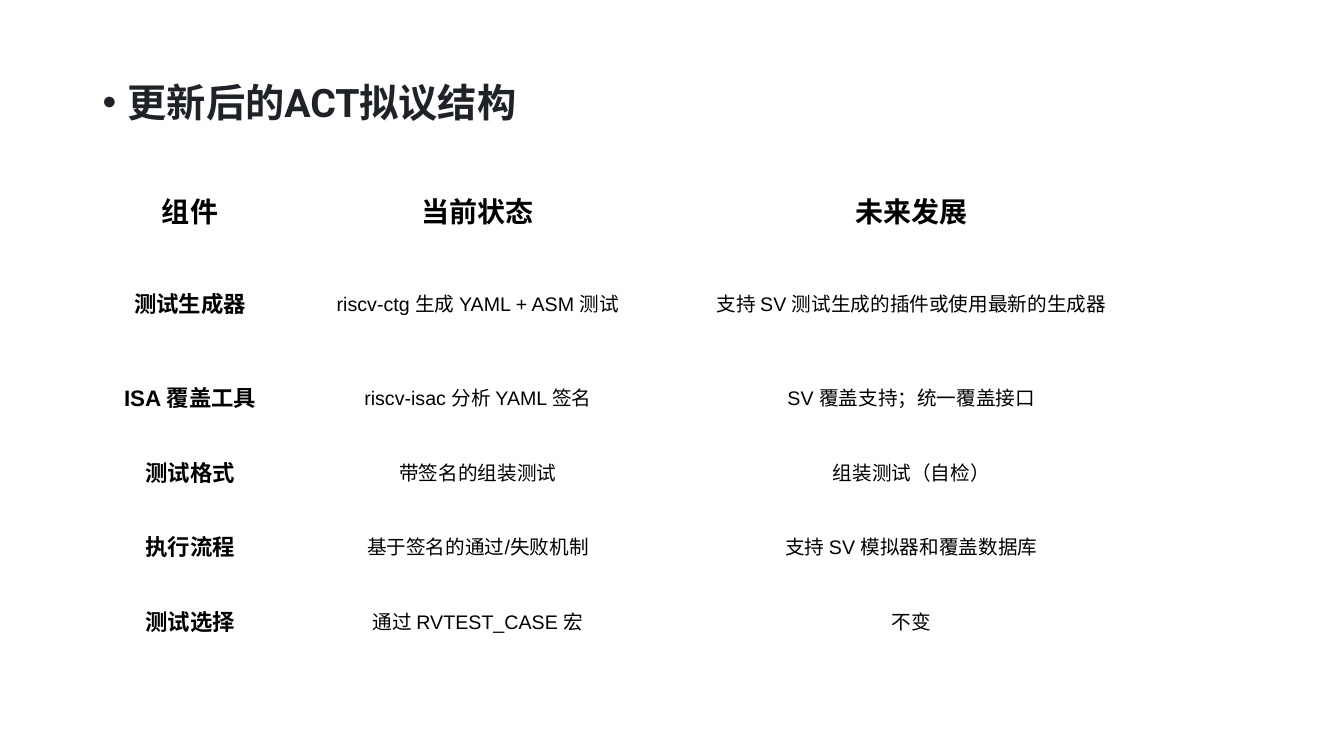
import pptx
import pptx.dml.color
import pptx.enum.lang
import pptx.enum.text
import pptx.oxml
import pptx.oxml.ns
import pptx.util

Inches = pptx.util.Inches
Pt = pptx.util.Pt
RGBColor = pptx.dml.color.RGBColor
Anchor = pptx.enum.text.MSO_ANCHOR
Align = pptx.enum.text.PP_ALIGN

HEADING = "更新后的ACT拟议结构"
HEADERS = ("组件", "当前状态", "未来发展")
COMPONENTS = [
    ("测试生成器", "riscv-ctg 生成 YAML + ASM 测试", "支持 SV 测试生成的插件或使用最新的生成器"),
    ("ISA 覆盖工具", "riscv-isac 分析 YAML 签名", "SV 覆盖支持；统一覆盖接口"),
    ("测试格式", "带签名的组装测试", "组装测试（自检）"),
    ("执行流程", "基于签名的通过/失败机制", "支持 SV 模拟器和覆盖数据库"),
    ("测试选择", "通过 RVTEST_CASE 宏", "不变"),
]
COLUMN_WIDTHS = (1.93, 3.78, 4.82)
ROW_HEIGHTS = (0.66, 1.13, 0.74, 0.74, 0.74, 0.74)
LEFT = 0.92
INK = RGBColor(0x1F, 0x23, 0x28)
BLACK = RGBColor(0, 0, 0)

HEADING_FONT = {"name": "Roboto", "size": Pt(28), "bold": True}
HEADER_FONT = {"name": "Arial", "size": Pt(20), "bold": True}
COMPONENT_FONT = {"name": "Arial", "size": Pt(16), "bold": True}
DETAIL_FONT = {"name": "Arial", "size": Pt(14), "bold": False}
CELL_FORMAT = {
    "margin_left": Inches(0.1),
    "margin_right": Inches(0.1),
    "margin_top": Inches(0.1),
    "margin_bottom": Inches(0.1),
}


def apply(target, values):
    for key, value in values.items():
        setattr(target, key, value)


def write(paragraph, words, font, color):
    run = paragraph.add_run()
    run.text = words
    apply(run.font, font)
    run.font.language_id = pptx.enum.lang.MSO_LANGUAGE_ID.SIMPLIFIED_CHINESE
    run.font.color.rgb = color


def add_heading(slide):
    heading = slide.shapes.add_textbox(Inches(LEFT), Inches(0.78), Inches(11.5), Inches(0.59))
    heading.text_frame.word_wrap = True
    line = heading.text_frame.paragraphs[0]
    apply(line, {"line_spacing": 0.9, "space_before": Pt(10)})
    write(line, HEADING, HEADING_FONT, INK)
    properties = line._p.get_or_add_pPr()
    properties.set("marL", str(Inches(0.25)))
    properties.set("indent", str(-Inches(0.25)))
    namespace = pptx.oxml.ns.nsdecls("a")
    for bullet in ('<a:buFont %s typeface="Arial"/>', '<a:buChar %s char="•"/>'):
        properties.append(pptx.oxml.parse_xml(bullet % namespace))


def add_components(slide):
    rows = [HEADERS] + COMPONENTS
    table = slide.shapes.add_table(
        len(rows), len(HEADERS), Inches(LEFT), Inches(1.78),
        Inches(sum(COLUMN_WIDTHS)), Inches(sum(ROW_HEIGHTS)),
    ).table
    apply(table, {"first_row": False, "horz_banding": False})
    for column, width in zip(table.columns, COLUMN_WIDTHS):
        column.width = Inches(width)
    for r, (words_in_row, height) in enumerate(zip(rows, ROW_HEIGHTS)):
        table.rows[r].height = Inches(height)
        for c, words in enumerate(words_in_row):
            cell = table.cell(r, c)
            apply(cell, CELL_FORMAT)
            cell.vertical_anchor = Anchor.MIDDLE if r else Anchor.TOP
            cell.fill.background()
            line = cell.text_frame.paragraphs[0]
            line.alignment = Align.CENTER
            font = HEADER_FONT if r == 0 else COMPONENT_FONT if c == 0 else DETAIL_FONT
            write(line, words, font, BLACK)


def main():
    deck = pptx.Presentation()
    apply(deck, {"slide_width": Inches(13.33), "slide_height": Inches(7.5)})
    slide = deck.slides.add_slide(deck.slide_layouts[6])
    add_heading(slide)
    add_components(slide)
    deck.save("out.pptx")


if __name__ == "__main__":
    main()
